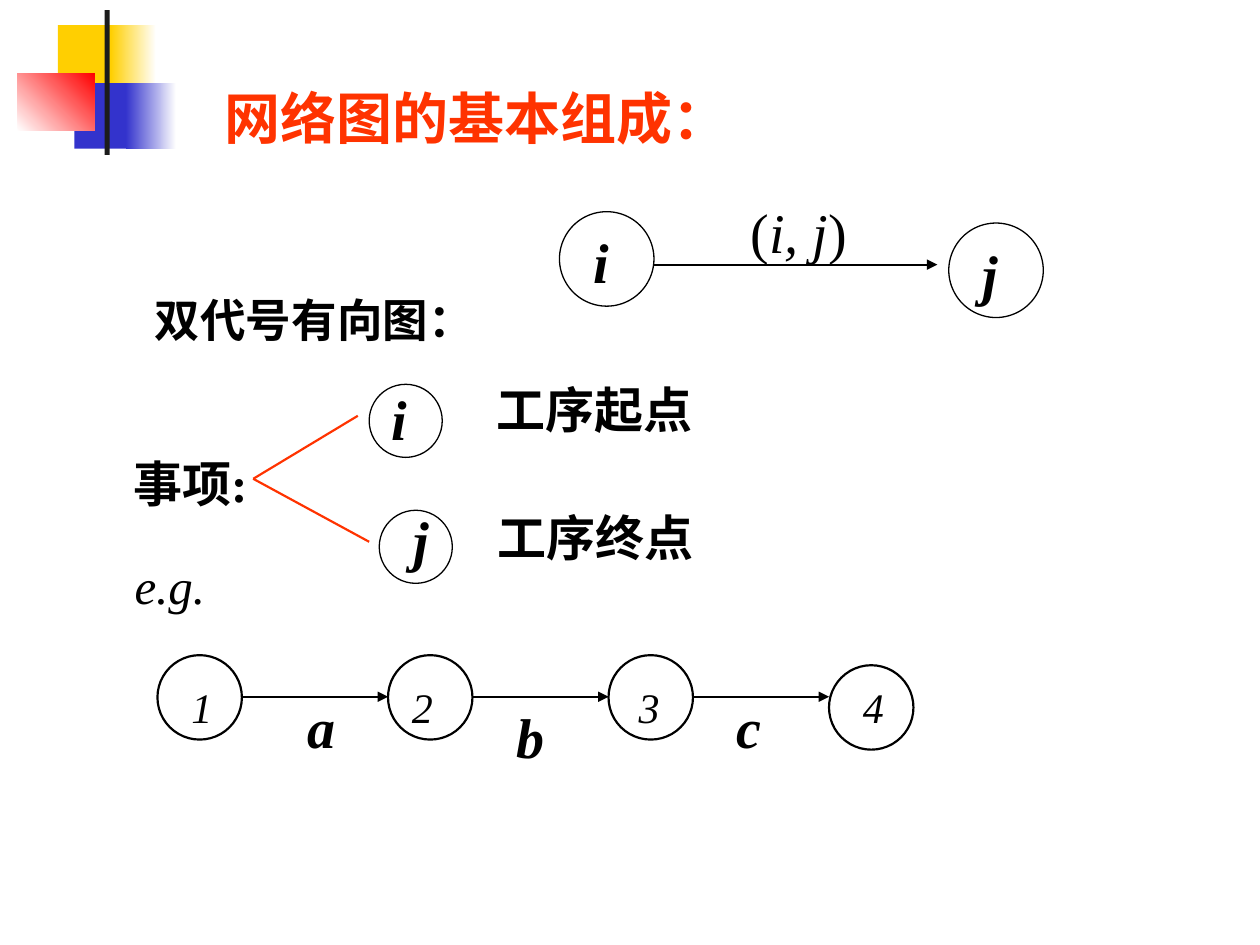
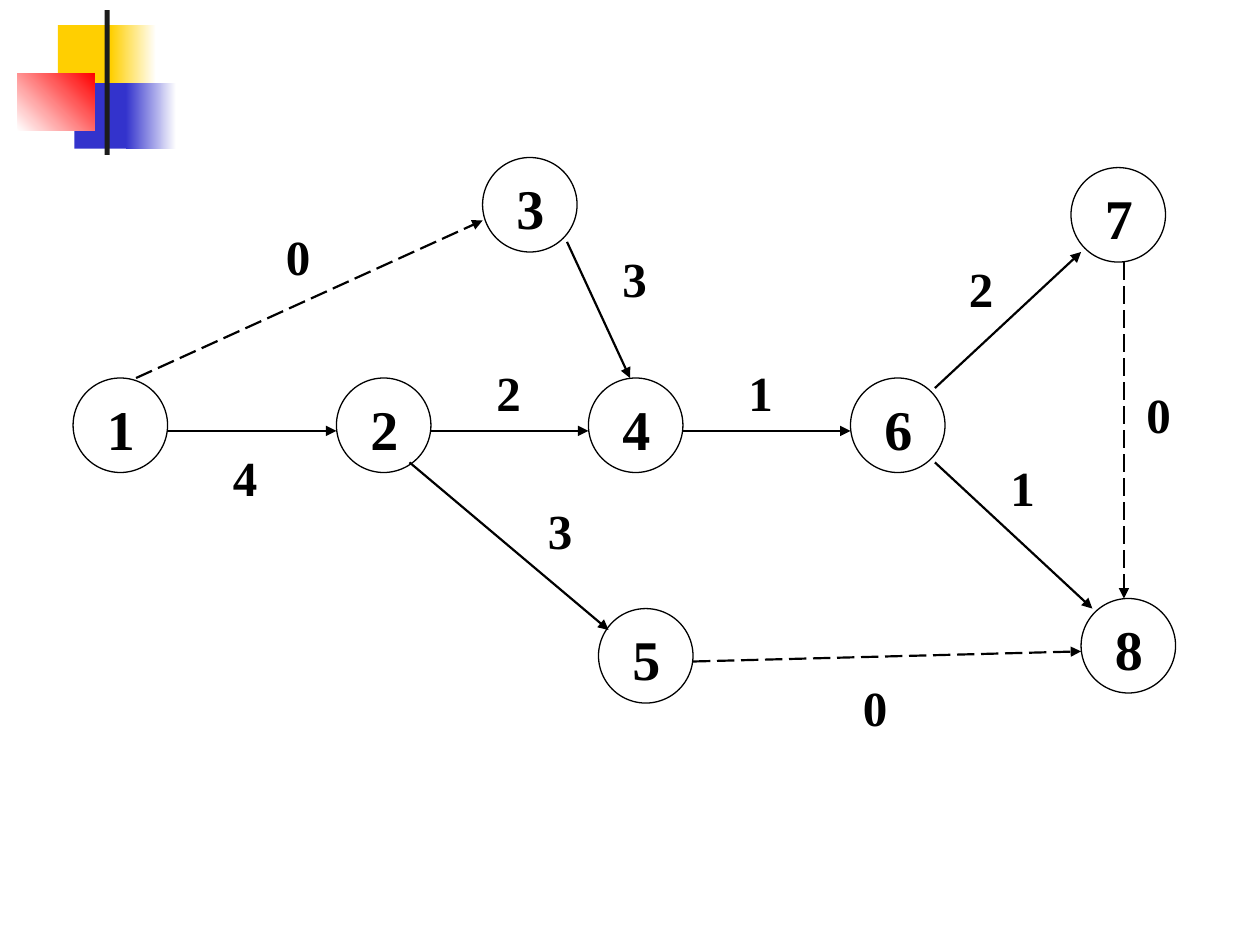
from dataclasses import dataclass

from lxml.etree import SubElement
from pptx import Presentation
from pptx.dml.color import RGBColor
from pptx.enum.dml import MSO_LINE
from pptx.enum.shapes import MSO_CONNECTOR, MSO_SHAPE
from pptx.enum.text import MSO_ANCHOR, MSO_AUTO_SIZE, PP_ALIGN
from pptx.oxml.ns import qn
from pptx.util import Inches, Pt


@dataclass(frozen=True)
class Theme:
    black: str = "000000"
    white: str = "FFFFFF"
    orange: str = "FF3300"
    yellow: str = "FFCF01"
    blue: str = "3333CC"
    red: str = "FF0000"
    bar: str = "1C1C1C"
    serif: str = "Times New Roman"
    sans: str = "Karla"
    large: int = 32
    mid: int = 28
    body: int = 26
    small: int = 24
    thin: float = 0.75
    thick: float = 1.25


THEME = Theme()


def rgb(color):
    return RGBColor.from_string(color)


def place(shape, left, top, width, height):
    shape.left, shape.top = Inches(left), Inches(top)
    shape.width, shape.height = Inches(width), Inches(height)


def style(run, size, color=THEME.black, bold=False, slant=False, face=THEME.serif):
    font = run.font
    font.name, font.size = face, Pt(size)
    font.bold, font.italic = bold, slant
    font.color.rgb = rgb(color)


def label(shapes, left, top, width, text, size, bold=False, slant=False):
    """Add one line of text in a box as tall as the line."""
    height = size * 1.2 / 72 + 0.1
    box = shapes.add_textbox(Inches(left), Inches(top), Inches(width), Inches(height))
    frame = box.text_frame
    frame.word_wrap = False
    frame.text = text
    style(frame.paragraphs[0].runs[0], size, bold=bold, slant=slant)
    return frame.paragraphs[0]


def circle(shapes, left, top, size, weight=THEME.thin):
    ring = shapes.add_shape(MSO_SHAPE.OVAL, Inches(left), Inches(top),
                            Inches(size), Inches(size))
    ring.shadow.inherit = False
    ring.fill.background()
    ring.line.color.rgb = rgb(THEME.black)
    ring.line.width = Pt(weight)


def link(shapes, start, end, color=THEME.black, head=True, dashed=False):
    """Join two points with a line, by default with an arrowhead at the end."""
    line = shapes.add_connector(MSO_CONNECTOR.STRAIGHT,
                                *(Inches(value) for value in (*start, *end)))
    line.line.color.rgb = rgb(color)
    line.line.width = Pt(THEME.thick)
    if dashed:
        line.line.dash_style = MSO_LINE.LONG_DASH
    props = line.element.spPr
    if head:
        SubElement(props.find(qn("a:ln")), qn("a:tailEnd"), type="triangle")
    SubElement(props, qn("a:effectLst"))


def block(shapes, left, top, width, height, color, fade=None, angle=0):
    """Add a plain block, or one that runs from color to fade."""
    item = shapes.add_shape(MSO_SHAPE.RECTANGLE, Inches(left), Inches(top),
                            Inches(width), Inches(height))
    item.shadow.inherit = False
    item.line.fill.background()
    if fade:
        item.fill.gradient()
        item.fill.gradient_angle = angle
        for stop, tone in zip(item.fill.gradient_stops, (color, fade)):
            stop.color.rgb = rgb(tone)
    else:
        item.fill.solid()
        item.fill.fore_color.rgb = rgb(color)
    return item


def brand(deck, slide):
    """Build the corner blocks and move them to the slide master."""
    blocks = [
        (0.46, 0.2, 0.48, 0.52, THEME.yellow),
        (0.88, 0.2, 0.36, 0.52, THEME.yellow, THEME.white),
        (0.59, 0.66, 0.46, 0.52, THEME.blue),
        (1, 0.66, 0.4, 0.52, THEME.blue, THEME.white),
        (0.14, 0.58, 0.61, 0.46, THEME.white, THEME.red, 45),
        (0.83, 0.08, 0.04, 1.15, THEME.bar),
    ]
    tree = deck.slide_master.shapes.element
    for index, values in enumerate(blocks, 100):
        part = block(slide.shapes, *values).element
        part.nvSpPr.cNvPr.set("id", str(index))
        tree.append(part)


def group(slide):
    return slide.shapes.add_group_shape().shapes


def holder(shape, text, spot, size, color, face):
    """Move a placeholder and fill it with one bold line."""
    place(shape, *spot)
    frame = shape.text_frame
    frame.text = text
    frame.word_wrap = False
    frame.auto_size = MSO_AUTO_SIZE.NONE
    frame.vertical_anchor = MSO_ANCHOR.TOP
    para = frame.paragraphs[0]
    para.alignment = PP_ALIGN.LEFT
    para.space_before = Pt(0)
    props = para._p.get_or_add_pPr()
    props.set("marL", "0")
    props.set("indent", "0")
    SubElement(props, qn("a:buNone"))
    style(para.runs[0], size, color, bold=True, face=face)


def basics(slide):
    title, body = slide.placeholders
    holder(title, "网络图的基本组成：", (1.68, 0.61, 4.2, 0.64),
           THEME.large, THEME.orange, THEME.serif)
    holder(body, "双代号有向图：", (1.13, 2.27, 7.88, 0.56),
           THEME.body, THEME.black, THEME.sans)

    # Arrow from i to j
    pair = group(slide)
    for name, left, top in (("i", 4.44, 1.68), ("j", 7.53, 1.77)):
        circle(pair, left, top, 0.75)
        label(pair, left + 0.17, top + 0.08, 0.32, name, THEME.large, True, True)
    link(pair, (5.19, 2.1), (7.44, 2.1))
    para = label(pair, 5.86, 1.52, 1.2, "(", THEME.large)
    for text, slant in (("i, j", True), (")", False)):
        run = para.add_run()
        run.text = text
        style(run, THEME.large, slant=slant)

    # Chain of four events
    chain = group(slide)
    events = [("1", 1.25, 5.2, 1.42), ("2", 3.08, 5.2, 3.17),
              ("3", 4.83, 5.2, 4.97), ("4", 6.58, 5.28, 6.75)]
    for name, left, top, inset in events:
        circle(chain, left, top, 0.67, THEME.thick)
        label(chain, inset, 5.36, 0.36, name, THEME.small, slant=True)
    for (_, left, *_), (_, right, *_) in zip(events, events[1:]):
        link(chain, (left + 0.67, 5.53), (right, 5.53))
    for name, left, top in (("a", 2.34, 5.45), ("b", 4, 5.53), ("c", 5.75, 5.45)):
        label(chain, left, top, 0.42, name, THEME.large, True, True)
    label(chain, 0.97, 4.36, 0.76, "e.g.", THEME.mid, slant=True)

    # Start and end events
    fork = group(slide)
    label(fork, 0.96, 3.55, 1.2, "事项:", THEME.mid, True)
    ends = [("i", "工序起点", (2.93, 3.05), (3.01, 3), (3.84, 2.96), (2.84, 3.3)),
            ("j", "工序终点", (3.01, 4.05), (3.18, 3.96), (3.85, 3.98), (2.93, 4.3))]
    for name, text, ring, inner, note, tip in ends:
        circle(fork, *ring, 0.58)
        label(fork, *inner, 0.32, name, THEME.large, True, True)
        label(fork, *note, 1.75, text, THEME.mid, True)
        link(fork, (2.01, 3.8), tip, THEME.orange, head=False)


def network(slide):
    board = group(slide)

    # Numbered events
    nodes = {"1": (0.58, 3), "2": (2.67, 3), "3": (3.83, 1.25), "4": (4.67, 3),
             "6": (6.75, 3), "5": (4.75, 4.83), "7": (8.5, 1.33), "8": (8.58, 4.75)}
    for name, (left, top) in nodes.items():
        circle(board, left, top, 0.75)
        label(board, left + 0.17, top + 0.08, 0.42, name, THEME.large, True)

    # Tasks: start, end, time and its place; a task of no time is dashed
    tasks = [
        ((1.33, 3.42), (2.67, 3.42), "4", (1.75, 3.5)),
        ((3.42, 3.42), (4.67, 3.42), "2", (3.84, 2.83)),
        ((5.42, 3.42), (6.75, 3.42), "1", (5.84, 2.83)),
        ((7.42, 3.08), (8.58, 2), "2", (7.59, 2)),
        ((7.42, 3.67), (8.67, 4.83), "1", (7.92, 3.58)),
        ((3.25, 3.67), (4.83, 5), "3", (4.25, 3.92)),
        ((4.5, 1.92), (5, 3), "3", (4.84, 1.92)),
        ((1.08, 3), (3.83, 1.75), "0", (2.17, 1.75)),
        ((5.5, 5.25), (8.58, 5.17), "0", (6.75, 5.33)),
        ((8.92, 2.08), (8.92, 4.75), "0", (9, 3)),
    ]
    for start, end, time, spot in tasks:
        link(board, start, end, dashed=time == "0")
        label(board, *spot, 0.39, time, THEME.mid, True)


def main():
    deck = Presentation()
    deck.slide_width, deck.slide_height = Inches(10), Inches(7.5)
    first = deck.slides.add_slide(deck.slide_layouts[1])
    brand(deck, first)
    basics(first)
    network(deck.slides.add_slide(deck.slide_layouts[6]))
    deck.save("out.pptx")


if __name__ == "__main__":
    main()
